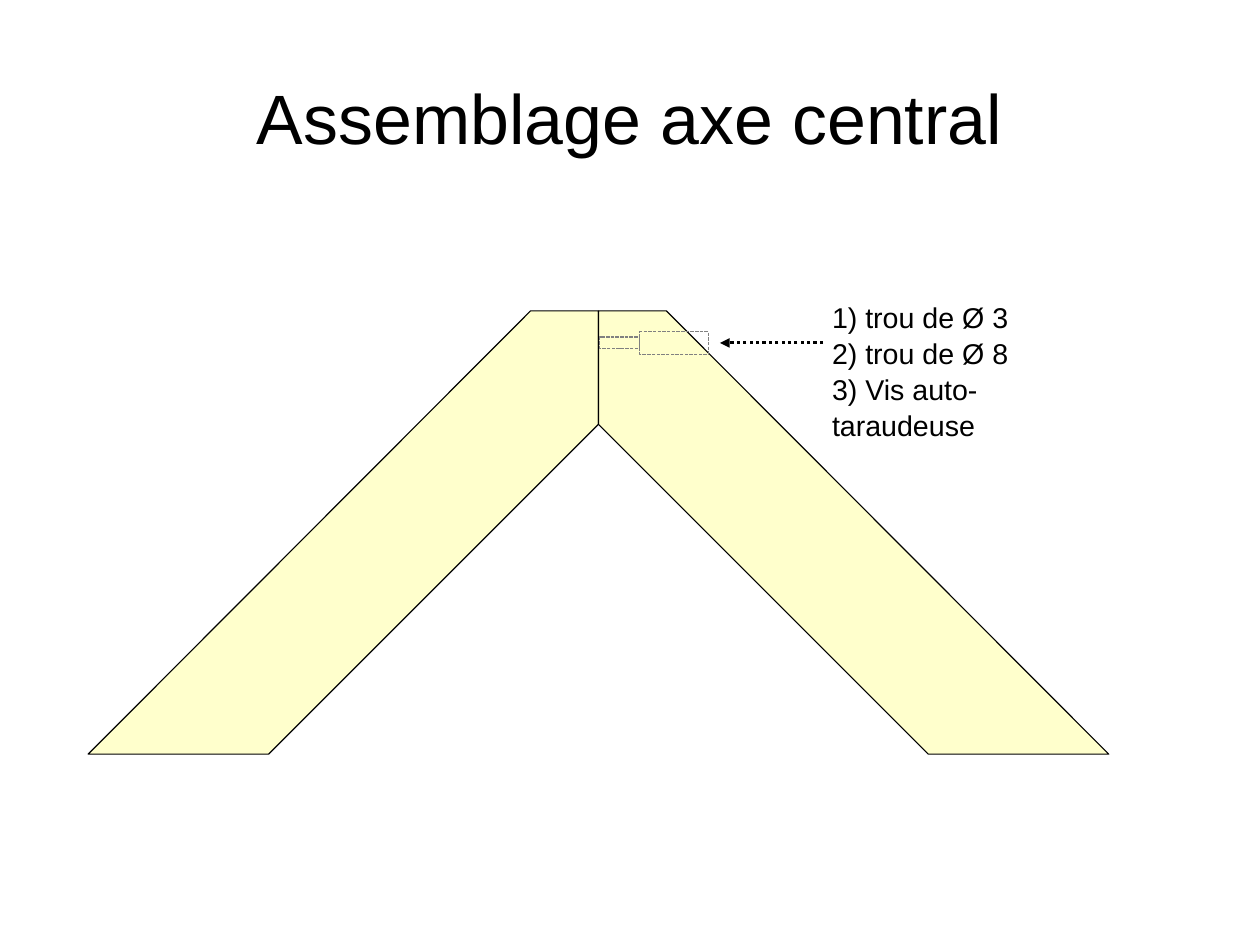
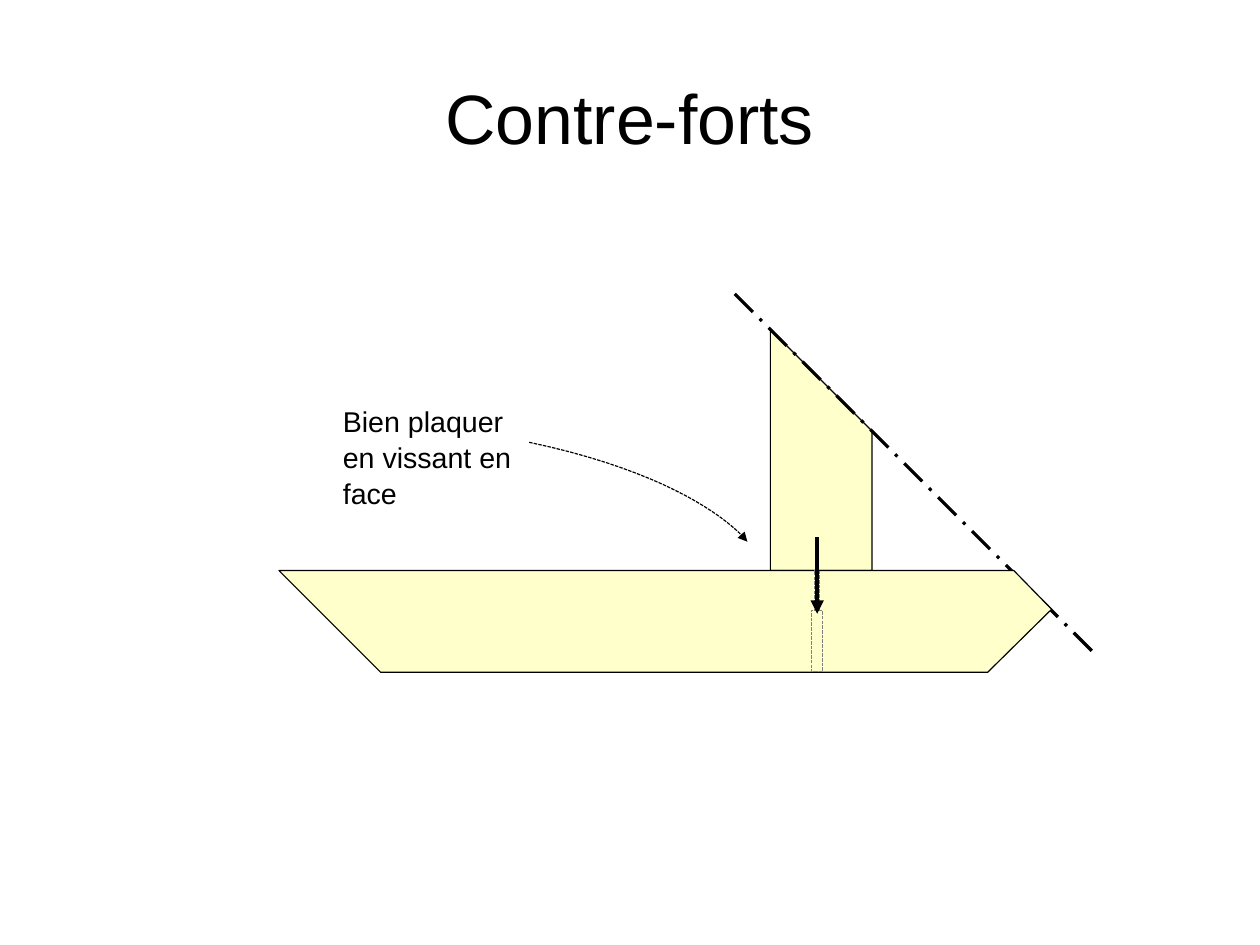
from dataclasses import dataclass

from lxml import etree
from pptx import Presentation
from pptx import util as u
from pptx.dml import color
from pptx.enum import dml, shapes, text
from pptx.oxml import ns

Point = tuple[float, float]

FONT = "Arial"
BLACK = "000000"
GREY = "808080"
WOOD = "FFFFCC"
DOTTED = dml.MSO_LINE.ROUND_DOT
DASHED = dml.MSO_LINE.SQUARE_DOT
DASH_DOT = dml.MSO_LINE.LONG_DASH_DOT


@dataclass(frozen=True)
class Box:
    left: float
    top: float
    width: float
    height: float

    def lengths(self) -> list[u.Cm]:
        return [u.Cm(value) for value in (self.left, self.top, self.width, self.height)]


TITLE = Box(1.4, 0.84, 25.2, 3.51)

BEAM_AXIS = 13.3
LEFT_BEAM = [(1.96, 16.76), (5.97, 16.76), (BEAM_AXIS, 9.43), (BEAM_AXIS, 6.91), (11.79, 6.91)]
RIGHT_BEAM = [(2 * BEAM_AXIS - x, y) for x, y in LEFT_BEAM]
BEAM_HOLES = [Box(14.22, 7.37, 1.52, 0.51), Box(13.33, 7.49, 0.89, 0.25)]

BASE_TOP = 12.68
BUTTRESS = [(19.38, BASE_TOP), (17.12, BASE_TOP), (17.12, 7.32), (19.38, 9.58)]
BASE = [(6.2, BASE_TOP), (8.46, 14.94), (21.95, 14.94), (23.37, 13.54), (22.53, BASE_TOP)]
BASE_HOLES = [Box(18.11, BASE_TOP, 0.1, 0.89), Box(18.03, 13.56, 0.25, 1.37)]


def rgb(value: str) -> color.RGBColor:
    return color.RGBColor.from_string(value)


def style_line(shape, line_color: str = BLACK, width: float = 0, dash=None, arrow: bool = False) -> None:
    shape.line.color.rgb = rgb(line_color)
    shape.line.width = u.Pt(width)
    if dash is not None:
        shape.line.dash_style = dash
    if arrow:
        outline = shape.element.spPr.find(ns.qn("a:ln"))
        etree.SubElement(outline, ns.qn("a:tailEnd"), type="triangle")


def style_fill(shape, fill: str | None) -> None:
    shape.shadow.inherit = False
    if fill is None:
        shape.fill.background()
    else:
        shape.fill.solid()
        shape.fill.fore_color.rgb = rgb(fill)


def add_text(slide, box: Box, lines: list[str], *, size: float = 18, align=text.PP_ALIGN.LEFT,
             anchor=text.MSO_ANCHOR.TOP, margins: Point = (0.25, 0.13),
             spacing: float = 1.05, wrap: bool = True) -> None:
    frame = slide.shapes.add_textbox(*box.lengths()).text_frame
    frame.word_wrap = wrap
    frame.vertical_anchor = anchor
    frame.margin_left = frame.margin_right = u.Cm(margins[0])
    frame.margin_top = frame.margin_bottom = u.Cm(margins[1])
    frame.text = "\n".join(lines)
    for paragraph in frame.paragraphs:
        paragraph.alignment = align
        paragraph.line_spacing = spacing
        paragraph.font.name = FONT
        paragraph.font.size = u.Pt(size)
        paragraph.font.color.rgb = rgb(BLACK)


def add_outline(slide, points: list[Point], *, closed: bool = True, fill: str | None = WOOD,
                dash=None, arrow: bool = False) -> None:
    start, *others = [(u.Cm(x), u.Cm(y)) for x, y in points]
    builder = slide.shapes.build_freeform(*start)
    builder.add_line_segments(others, close=closed)
    shape = builder.convert_to_shape()
    style_fill(shape, fill)
    style_line(shape, dash=dash, arrow=arrow)


def add_line(slide, start: Point, end: Point, *, width: float = 0, dash=None, arrow: bool = False) -> None:
    ends = [u.Cm(value) for value in (*start, *end)]
    connector = slide.shapes.add_connector(shapes.MSO_CONNECTOR.STRAIGHT, *ends)
    style_line(connector, width=width, dash=dash, arrow=arrow)
    etree.SubElement(connector.element.spPr, ns.qn("a:effectLst"))


def add_holes(slide, holes: list[Box]) -> None:
    for hole in holes:
        shape = slide.shapes.add_shape(shapes.MSO_SHAPE.RECTANGLE, *hole.lengths())
        style_fill(shape, None)
        style_line(shape, GREY, dash=DASHED)


def bezier(controls: list[Point], steps: int = 24) -> list[Point]:
    def at(t: float) -> Point:
        weights = ((1 - t) ** 3, 3 * t * (1 - t) ** 2, 3 * t ** 2 * (1 - t), t ** 3)
        x, y = (sum(w * value for w, value in zip(weights, axis)) for axis in zip(*controls))
        return x, y

    return [at(step / steps) for step in range(steps + 1)]


def add_titled_slide(presentation, title: str):
    slide = presentation.slides.add_slide(presentation.slide_layouts[6])
    add_text(slide, TITLE, [title], size=44, align=text.PP_ALIGN.CENTER,
             anchor=text.MSO_ANCHOR.MIDDLE, margins=(0, 0), spacing=1.0)
    return slide


def build_central_axis(presentation) -> None:
    slide = add_titled_slide(presentation, "Assemblage axe central")
    for beam in (LEFT_BEAM, RIGHT_BEAM):
        add_outline(slide, beam)
    add_line(slide, (18.29, 7.62), (16, 7.62), dash=DOTTED, arrow=True)
    add_text(slide, Box(18.24, 6.5, 6.91, 2.39),
             ["1) trou de Ø 3", "2) trou de Ø 8", "3) Vis auto-taraudeuse"], wrap=False)
    add_holes(slide, BEAM_HOLES)


def build_buttresses(presentation) -> None:
    slide = add_titled_slide(presentation, "Contre-forts")
    add_outline(slide, BUTTRESS)
    add_line(slide, (16.33, 6.53), (24.28, 14.48), dash=DASH_DOT)
    curve = bezier([(11.76, 9.83), (15.6, 10.64), (16.61, 12.04), (16.61, 12.04)])
    add_outline(slide, curve, closed=False, fill=None, dash=DASHED, arrow=True)
    add_text(slide, Box(7.37, 8.81, 4.67, 2.39), ["Bien plaquer en vissant en face"])
    add_outline(slide, BASE)
    add_holes(slide, BASE_HOLES)
    add_line(slide, (18.16, 11.94), (18.16, 13.64), width=2.83, arrow=True)


def main() -> None:
    presentation = Presentation()
    presentation.slide_width = u.Cm(28)
    presentation.slide_height = u.Cm(21)
    build_central_axis(presentation)
    build_buttresses(presentation)
    presentation.save("out.pptx")


if __name__ == "__main__":
    main()
